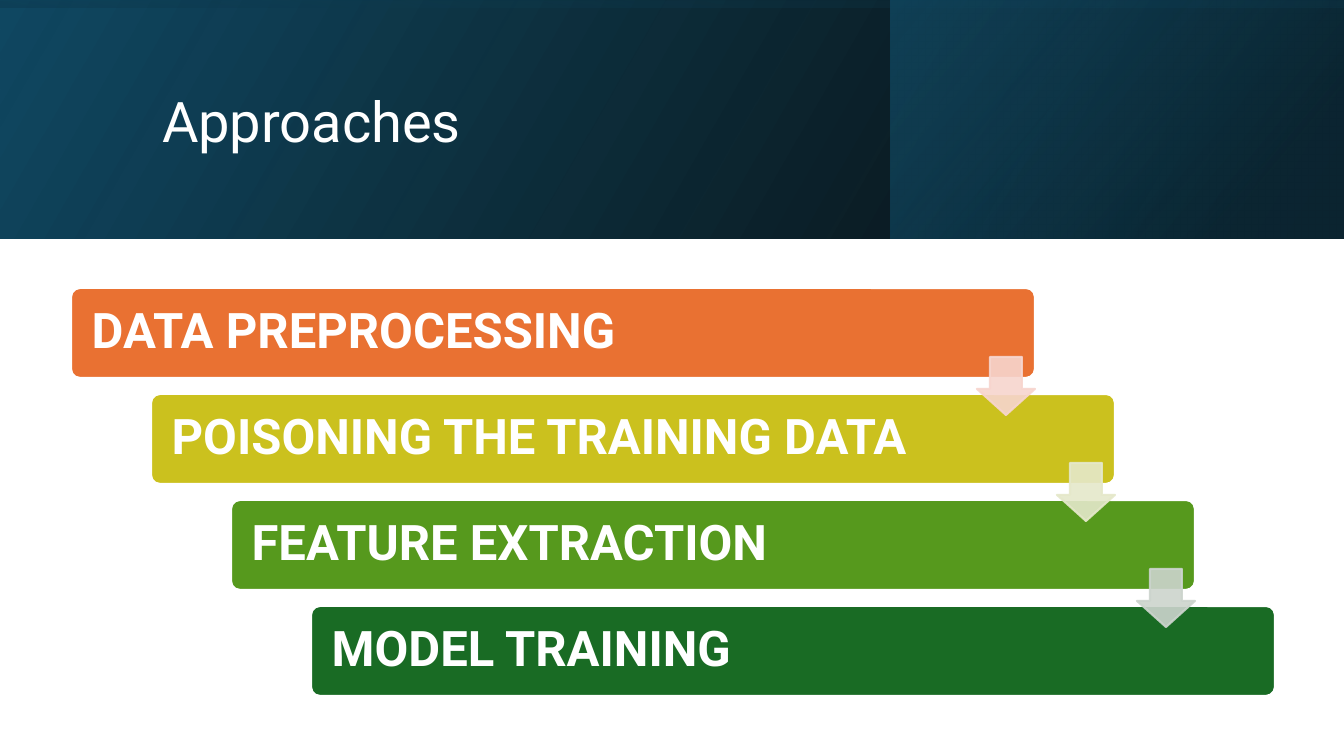
from typing import NamedTuple

from lxml.etree import SubElement
from pptx import Presentation
from pptx.dml.color import RGBColor
from pptx.enum.shapes import MSO_SHAPE
from pptx.enum.text import MSO_ANCHOR, PP_ALIGN
from pptx.oxml.ns import qn
from pptx.shapes.autoshape import Shape
from pptx.shapes.shapetree import SlideShapes
from pptx.text.text import TextFrame
from pptx.util import Emu, Pt

SLIDE_W, SLIDE_H = 1344, 756
EMU_PER_PX = 12192000 / SLIDE_W
FONT = "Roboto"

COLORS = {
    "white": "FFFFFF",
    "black": "000000",
    "navy": "104862",
    "deep_teal": "0B3041",
    "teal": "156082",
    "orange": "E97132",
    "yellow": "CBC11E",
    "green": "56991D",
    "dark_green": "196B24",
    "pale_orange": "F7D5CE",
    "pale_yellow": "E5E8CA",
    "pale_green": "CCD4CD",
}

BAR_LEFT, BAR_TOP, BAR_W, BAR_H = 71, 288, 964, 90
STEP_X, STEP_Y = 80, 106
ARROW_DX, ARROW_DY, ARROW_SIZE = 906, 69, 58


class Box(NamedTuple):
    left: int
    top: int
    width: int
    height: int


class Stop(NamedTuple):
    position: float
    color: str
    opacity: int


class BannerLayer(NamedTuple):
    box: Box
    angle: int  # clockwise degrees
    stops: tuple[Stop, Stop]
    rotation: int = 0


class Step(NamedTuple):
    text: str
    color: str
    arrow_color: str | None = None


BANNER = [
    BannerLayer(Box(0, 0, 1344, 239), 330,
                (Stop(0, "black", 96), Stop(1, "navy", 100))),
    BannerLayer(Box(891, 0, 452, 239), 320,
                (Stop(0.19, "deep_teal", 68), Stop(1, "teal", 48))),
    BannerLayer(Box(552, -552, 239, 1344), 350,
                (Stop(0.23, "navy", 16), Stop(0.99, "black", 45)), 270),
]

STEPS = [
    Step("DATA PREPROCESSING", "orange", "pale_orange"),
    Step("POISONING THE TRAINING DATA", "yellow", "pale_yellow"),
    Step("FEATURE EXTRACTION", "green", "pale_green"),
    Step("MODEL TRAINING", "dark_green"),
]


def px(n: int) -> Emu:
    return Emu(round(n * EMU_PER_PX))


def rgb(name: str) -> RGBColor:
    return RGBColor.from_string(COLORS[name])


def set_opacity(sp: Shape, *percents: int) -> None:
    """Give the shape's colours, in document order, these opacities."""
    for clr, percent in zip(sp.element.spPr.iter(qn("a:srgbClr")), percents):
        SubElement(clr, qn("a:alpha")).set("val", str(percent * 1000))


def add_preset(shapes: SlideShapes, kind: MSO_SHAPE, box: Box) -> Shape:
    sp = shapes.add_shape(kind, *map(px, box))
    sp.shadow.inherit = False
    return sp


def paint(sp: Shape, fill: str, line: str) -> None:
    sp.fill.solid()
    sp.fill.fore_color.rgb = rgb(fill)
    sp.line.color.rgb = rgb(line)
    sp.line.width = Pt(1.5)


def write(tf: TextFrame, text: str, size: int, bold: bool) -> None:
    tf.word_wrap = True
    tf.vertical_anchor = MSO_ANCHOR.MIDDLE
    p = tf.paragraphs[0]
    p.alignment = PP_ALIGN.LEFT
    p.line_spacing = 0.9
    r = p.add_run()
    r.text = text
    r.font.name = FONT
    r.font.size = Pt(size)
    r.font.bold = bold
    r.font.color.rgb = rgb("white")


def add_banner_layer(shapes: SlideShapes, layer: BannerLayer) -> None:
    sp = add_preset(shapes, MSO_SHAPE.RECTANGLE, layer.box)
    sp.rotation = layer.rotation
    sp.element.spPr.get_or_add_xfrm().set("flipH", "1")
    sp.line.fill.background()
    sp.fill.gradient()
    sp.fill.gradient_angle = 360 - layer.angle
    for gs, stop in zip(sp.fill.gradient_stops, layer.stops):
        gs.position = stop.position
        gs.color.rgb = rgb(stop.color)
    set_opacity(sp, *(stop.opacity for stop in layer.stops))


def add_bar(shapes: SlideShapes, index: int, step: Step) -> None:
    box = Box(BAR_LEFT + index * STEP_X, BAR_TOP + index * STEP_Y, BAR_W, BAR_H)
    sp = add_preset(shapes, MSO_SHAPE.ROUNDED_RECTANGLE, box)
    sp.adjustments[0] = 0.1
    paint(sp, step.color, "white")
    tf = sp.text_frame
    tf.margin_left = tf.margin_right = px(18)
    write(tf, step.text, 35, True)


def add_arrow(shapes: SlideShapes, index: int, color: str) -> None:
    box = Box(BAR_LEFT + ARROW_DX + index * STEP_X,
              BAR_TOP + ARROW_DY + index * STEP_Y, ARROW_SIZE, ARROW_SIZE)
    sp = add_preset(shapes, MSO_SHAPE.DOWN_ARROW, box)
    sp.adjustments[0] = 0.55
    sp.adjustments[1] = 0.45
    paint(sp, color, color)
    set_opacity(sp, 90, 90)


def main() -> None:
    prs = Presentation()
    prs.slide_width, prs.slide_height = px(SLIDE_W), px(SLIDE_H)
    shapes = prs.slides.add_slide(prs.slide_layouts[5]).shapes

    for layer in BANNER:
        add_banner_layer(shapes, layer)

    title = shapes.title
    title.left, title.top, title.width, title.height = map(px, Box(152, 38, 1072, 173))
    write(title.text_frame, "Approaches", 40, False)
    shapes.element.append(title.element)  # in front of the banner

    for i, step in enumerate(STEPS):
        add_bar(shapes, i, step)
    for i, step in enumerate(STEPS):
        if step.arrow_color:
            add_arrow(shapes, i, step.arrow_color)

    prs.save("out.pptx")


if __name__ == "__main__":
    main()
